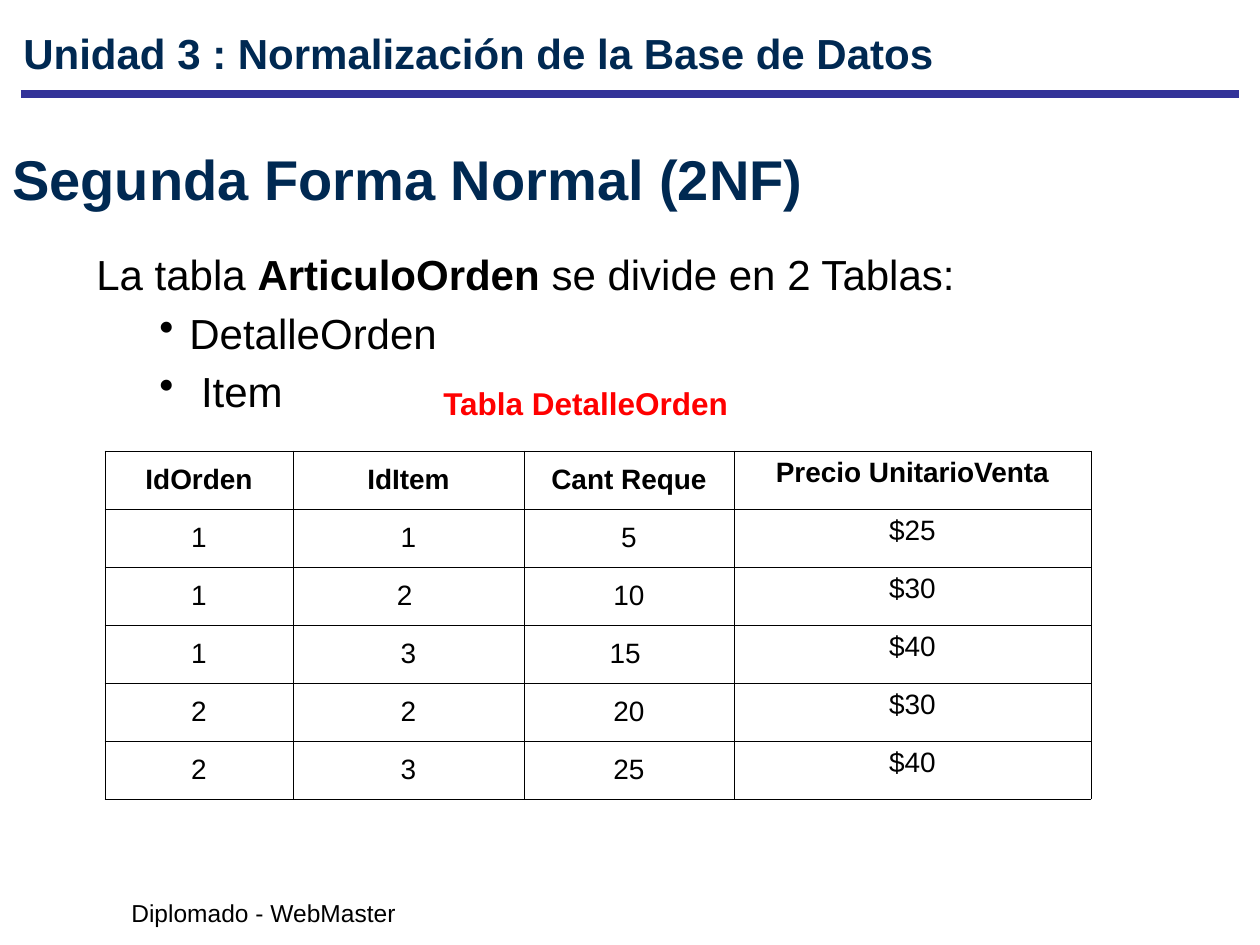
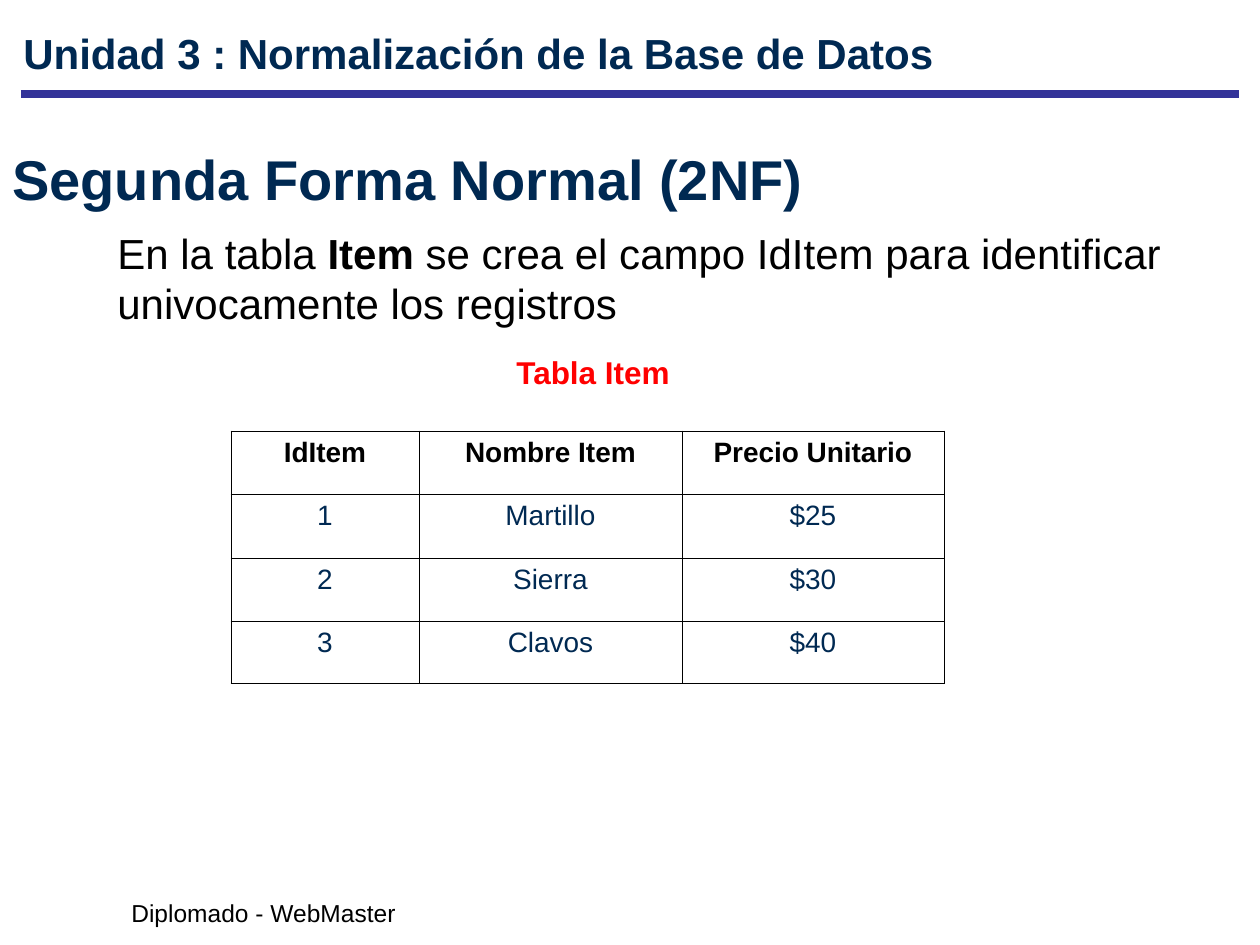
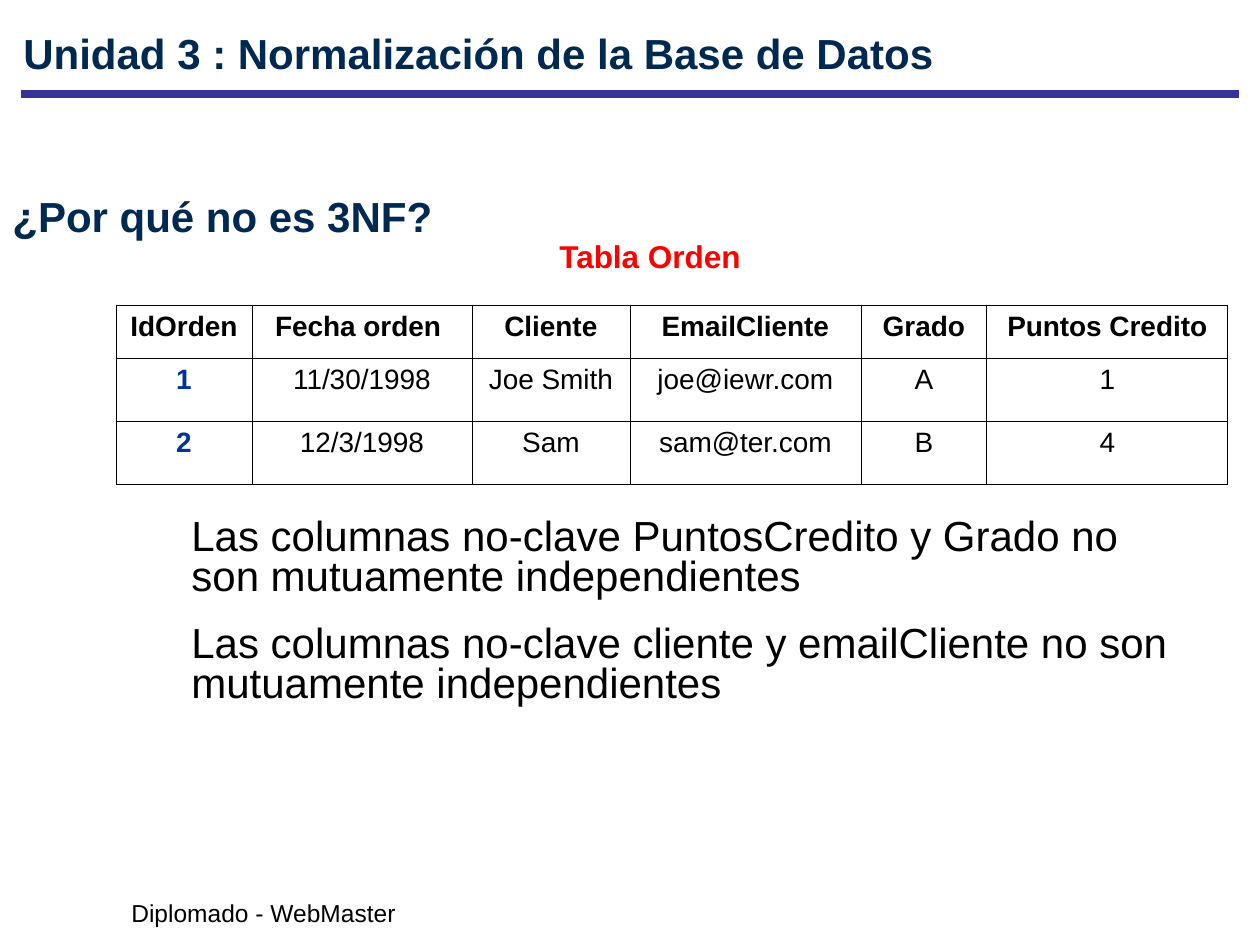
"""Builds three slides on the second and third normal forms of a database."""
from lxml import etree
from pptx import Presentation, util as u
from pptx.dml.color import RGBColor
from pptx.enum import shapes, text
from pptx.oxml import ns

PX = 914400 // 126
COLORS = {"navy": "002952", "rule": "333399", "black": "000000", "red": "FF0000", "key": "003399"}
FORMATS = {
    "unit": {"size": u.Pt(24), "bold": True, "color": "navy"},
    "title": {"size": u.Pt(32), "bold": True, "color": "navy"},
    "question": {"size": u.Pt(24), "bold": True, "color": "navy"},
    "body": {"size": u.Pt(24), "bold": False, "color": "black"},
    "strong": {"size": u.Pt(24), "bold": True, "color": "black"},
    "caption": {"size": u.Pt(18), "bold": True, "color": "red"},
    "footer": {"size": u.Pt(14), "bold": False, "color": "black"},
    "header": {"size": u.Pt(16), "bold": True, "color": "black"},
    "cell": {"size": u.Pt(16), "bold": False, "color": "black"},
    "navy cell": {"size": u.Pt(16), "bold": False, "color": "navy"},
    "key cell": {"size": u.Pt(16), "bold": True, "color": "key"},
}
MIDDLE, TOP = text.MSO_ANCHOR.MIDDLE, text.MSO_ANCHOR.TOP

UNIT = "Unidad 3 : Normalización de la Base de Datos"
SECOND_FORM = ("Segunda Forma Normal (2NF)", "title", (0, 147, 1071, 63))
SLIDES = [
    {
        "title": SECOND_FORM,
        "body_box": (84, 242, 1081, 180),
        "body": [
            {"runs": [("La tabla ", "body"), ("ArticuloOrden", "strong"),
                      (" se divide en 2 Tablas:", "body")]},
            {"runs": [("DetalleOrden", "body")], "bullet": True, "before": 10.5, "spacing": 0.8},
            {"runs": [(" Item", "body")], "bullet": True, "before": 10.5, "spacing": 0.8},
        ],
        "caption": ("Tabla DetalleOrden", (431, 378, 312, 50)),
        "origin": (105, 451),
        "columns": [188, 231, 210, 357],
        "heights": [58] * 6,
        "anchors": [MIDDLE, MIDDLE, MIDDLE, TOP],
        "cell_styles": ["cell"] * 4,
        "rows": [
            ["IdOrden", "IdItem", "Cant Reque", "Precio UnitarioVenta"],
            ["1", "1", "5", "$25"],
            ["1", "2 ", "10", "$30"],
            ["1", "3", "15 ", "$40"],
            ["2", "2", "20", "$30"],
            ["2", "3", "25", "$40"],
        ],
    },
    {
        "title": SECOND_FORM,
        "body_box": (105, 221, 1155, 113),
        "body": [
            {"runs": [("En la tabla ", "body"), ("Item", "strong"),
                      (" se crea el campo IdItem para identificar univocamente los registros", "body")]},
        ],
        "caption": ("Tabla Item", (504, 347, 180, 50)),
        "origin": (231, 431),
        "columns": [188, 263, 262],
        "heights": [63, 64, 63, 63],
        "anchors": [TOP] * 3,
        "cell_styles": ["navy cell"] * 3,
        "rows": [
            ["IdItem", "Nombre Item", "Precio Unitario"],
            ["1", "Martillo", "$25"],
            ["2", "Sierra", "$30"],
            ["3", "Clavos", "$40"],
        ],
    },
    {
        "title": ("¿Por qué no es 3NF?", "question", (0, 179, 1081, 73)),
        "body_box": (179, 513, 1018, 200),
        "body": [
            {"runs": [("Las columnas no-clave PuntosCredito y Grado no son mutuamente independientes",
                       "body")], "spacing": 0.8},
            {"runs": [("Las columnas no-clave cliente y emailCliente no son mutuamente independientes",
                       "body")], "before": 15, "spacing": 0.8},
        ],
        "caption": ("Tabla Orden", (547, 231, 209, 50)),
        "origin": (116, 305),
        "columns": [136, 220, 158, 231, 126, 241],
        "heights": [53, 63, 63],
        "anchors": [TOP] * 6,
        "cell_styles": ["key cell"] + ["cell"] * 5,
        "rows": [
            ["IdOrden", "Fecha orden ", "Cliente", "EmailCliente", "Grado", "Puntos Credito"],
            ["1", "11/30/1998", "Joe Smith", "joe@iewr.com", "A", "1"],
            ["2", "12/3/1998", "Sam", "sam@ter.com", "B", "4"],
        ],
    },
]


def add_run(paragraph, words, style):
    run = paragraph.add_run()
    run.text = words
    run.font.name = "Arial"
    for attribute, value in FORMATS[style].items():
        if attribute == "color":
            run.font.color.rgb = RGBColor.from_string(COLORS[value])
        else:
            setattr(run.font, attribute, value)


def add_text(slide, box, paragraphs, anchor=TOP, wrap=True):
    frame = slide.shapes.add_textbox(*(n * PX for n in box)).text_frame
    frame.word_wrap = wrap
    frame.vertical_anchor = anchor
    for index, content in enumerate(paragraphs):
        paragraph = frame.paragraphs[0] if index == 0 else frame.add_paragraph()
        if content.get("bullet"):
            properties = paragraph._p.get_or_add_pPr()
            properties.set("marL", str(93 * PX))
            properties.set("indent", str(-30 * PX))
            etree.SubElement(properties, ns.qn("a:buChar")).set("char", "•")
        if "before" in content:
            paragraph.space_before = u.Pt(content["before"])
        if "spacing" in content:
            paragraph.line_spacing = content["spacing"]
        for words, style in content["runs"]:
            add_run(paragraph, words, style)


deck = Presentation()
deck.slide_width, deck.slide_height = 1260 * PX, 945 * PX

for page in SLIDES:
    slide = deck.slides.add_slide(deck.slide_layouts[6])

    rule = slide.shapes.add_connector(
        shapes.MSO_CONNECTOR.STRAIGHT, 21 * PX, 94 * PX, 1239 * PX, 94 * PX)
    rule.line.color.rgb = RGBColor.from_string(COLORS["rule"])
    rule.line.width = u.Pt(4.5)
    etree.SubElement(rule._element.spPr, ns.qn("a:effectLst"))

    add_text(slide, (119, 892, 290, 43), [{"runs": [("Diplomado - WebMaster", "footer")]}], wrap=False)
    add_text(slide, (11, 21, 997, 73), [{"runs": [(UNIT, "unit")]}])
    title, title_style, title_box = page["title"]
    add_text(slide, title_box, [{"runs": [(title, title_style)]}], anchor=MIDDLE)
    add_text(slide, page["body_box"], page["body"])
    caption, caption_box = page["caption"]
    add_text(slide, caption_box, [{"runs": [(caption, "caption")]}], wrap=False)

    columns, heights = page["columns"], page["heights"]
    left, top = page["origin"]
    grid = slide.shapes.add_table(
        len(heights), len(columns), left * PX, top * PX, sum(columns) * PX, sum(heights) * PX).table
    grid.first_row = grid.horz_banding = False
    for column, width in zip(grid.columns, columns):
        column.width = width * PX
    for row, height in zip(grid.rows, heights):
        row.height = height * PX
    for r, values in enumerate(page["rows"]):
        for c, value in enumerate(values):
            cell = grid.cell(r, c)
            cell.vertical_anchor = page["anchors"][c]
            paragraph = cell.text_frame.paragraphs[0]
            paragraph.alignment = text.PP_ALIGN.CENTER
            add_run(paragraph, value, page["cell_styles"][c] if r else "header")
            properties = cell._tc.get_or_add_tcPr()
            for side in ("a:lnL", "a:lnR", "a:lnT", "a:lnB"):
                border = etree.SubElement(properties, ns.qn(side), w=str(u.Pt(0.45)))
                ink = etree.SubElement(border, ns.qn("a:solidFill"))
                etree.SubElement(ink, ns.qn("a:srgbClr"), val=COLORS["black"])
            cell.fill.background()

deck.save("out.pptx")
